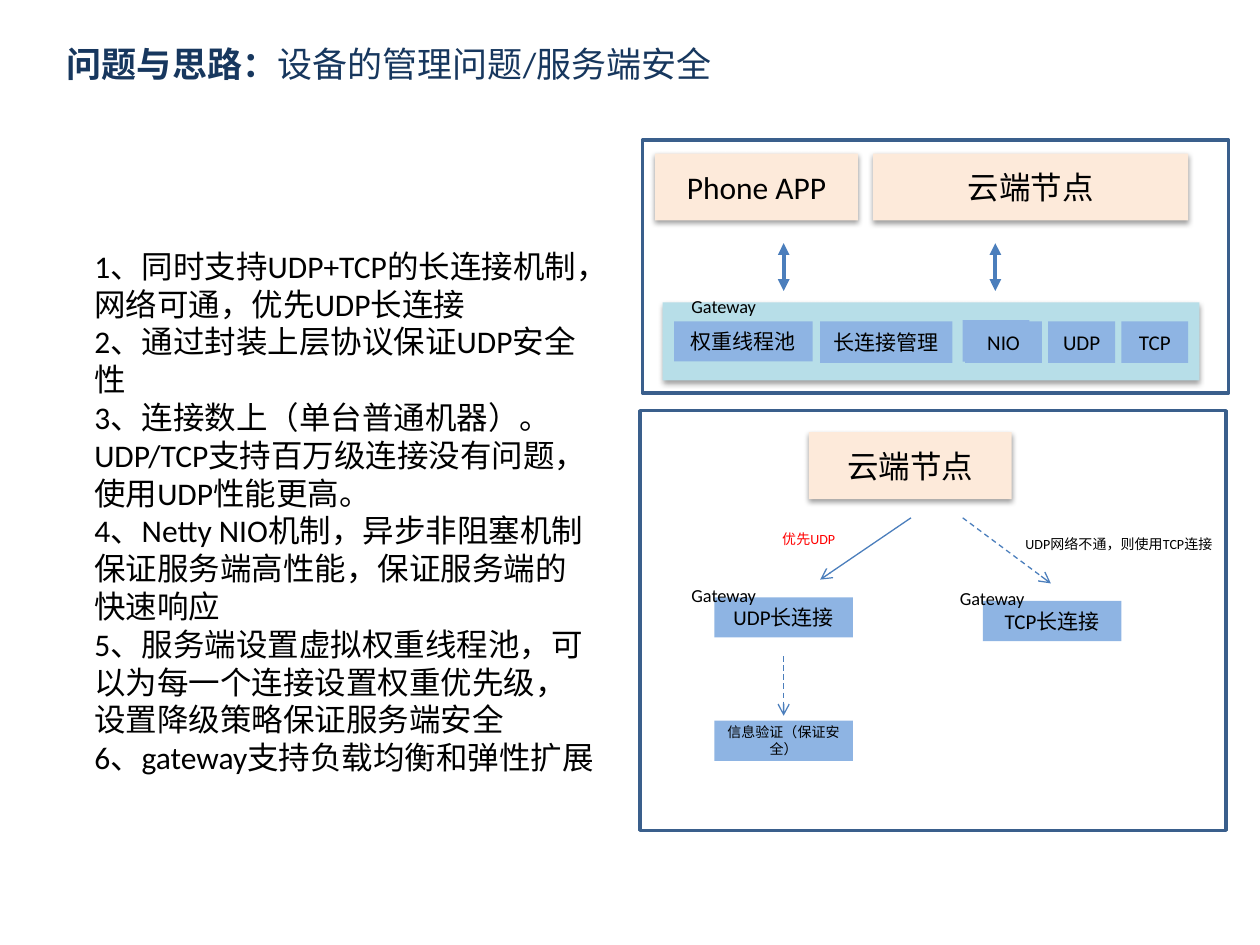
import pptx
import pptx.util
import pptx.dml.color
import pptx.enum.dml
import pptx.enum.text
import pptx.enum.shapes
import pptx.oxml
import pptx.oxml.ns

Pt = pptx.util.Pt
RGB = pptx.dml.color.RGBColor.from_string
ALIGN = pptx.enum.text.PP_ALIGN
ANCHOR = pptx.enum.text.MSO_ANCHOR
RECT = pptx.enum.shapes.MSO_SHAPE.RECTANGLE
STRAIGHT = pptx.enum.shapes.MSO_CONNECTOR.STRAIGHT
DASH = pptx.enum.dml.MSO_LINE.DASH
NS = pptx.oxml.ns.nsdecls("a")

COLORS = {
    "title": "17375E", "text": "000000", "alert": "FF0000", "frame": "3A5F8C",
    "card": "FDEADA", "panel": "B7DEE8", "chip": "8EB4E3", "arrow": "4B7EBC",
}
SHADOW = (
    f'<a:effectLst {NS}><a:outerShdw blurRad="39370" dist="20320" dir="5400000" rotWithShape="0">'
    '<a:srgbClr val="000000"><a:alpha val="38000"/></a:srgbClr></a:outerShdw></a:effectLst>'
)


def write(shape, paragraphs, size, color="text", align=ALIGN.CENTER, anchor=ANCHOR.MIDDLE):
    frame = shape.text_frame
    frame_format = {"word_wrap": True, "vertical_anchor": anchor,
                    "auto_size": pptx.enum.text.MSO_AUTO_SIZE.NONE}
    for name, value in frame_format.items():
        setattr(frame, name, value)
    for index, runs in enumerate(paragraphs):
        paragraph = frame.add_paragraph() if index else frame.paragraphs[0]
        paragraph.alignment = align
        for wording, bold in runs:
            run = paragraph.add_run()
            run.text = wording
            font_format = {"name": "Calibri", "size": Pt(size), "bold": bold}
            for name, value in font_format.items():
                setattr(run.font, name, value)
            run.font.color.rgb = RGB(COLORS[color])


def add_box(place, fill=None):
    box = slide.shapes.add_shape(RECT, *map(Pt, place))
    box.shadow.inherit = False
    if fill:
        box.fill.solid()
        box.fill.fore_color.rgb = RGB(COLORS[fill])
        box.line.fill.background()
    else:
        box.fill.background()
        box.line.color.rgb = RGB(COLORS["frame"])
        box.line.width = Pt(2)
    if fill in ("card", "panel"):
        properties = box._element.spPr
        properties.remove(properties.find(pptx.oxml.ns.qn("a:effectLst")))
        properties.append(pptx.oxml.parse_xml(SHADOW))
    return box


deck = pptx.Presentation()
deck.slide_width, deck.slide_height = Pt(720), Pt(540)
slide = deck.slides.add_slide(deck.slide_layouts[5])

title = slide.shapes.title
title_place = {"left": 31, "top": 20.9, "width": 516.2, "height": 36.7}
for side, length in title_place.items():
    setattr(title, side, Pt(length))
write(title, [[("问题与思路：", True), ("设备的管理问题/服务端安全", False)]],
      20, "title", ALIGN.LEFT, ANCHOR.TOP)

for frame_place in [(365.8, 234.7, 334.8, 239.8), (367.2, 79.9, 334.8, 144.7)]:
    add_box(frame_place)
add_box((378.7, 172.8, 306.7, 44.6), "panel")

cards = [
    ("Phone APP", 374.4, 87.8, 115.9),
    ("云端节点", 499, 87.8, 180),
    ("云端节点", 462.2, 247, 115.9),
]
for wording, left, top, width in cards:
    write(add_box((left, top, width, 38.2), "card"), [[(wording, False)]], 18)

chips = [
    ("权重线程池", 385.2, 183.6, 79.2, 23, 12),
    ("长连接管理", 468.7, 183.6, 75.6, 23.8, 12),
    ("NIO", 550.1, 182.9, 38.2, 23.8, 12),
    ("UDP", 599, 183.6, 38.2, 23.8, 12),
    ("NIO", 551.5, 183.6, 43.9, 23.8, 12),
    ("TCP", 640.8, 183.6, 38.2, 23.8, 12),
    ("UDP长连接", 408.2, 341.3, 79.2, 23, 12),
    ("TCP长连接", 561.6, 343.4, 79.2, 23, 12),
    ("信息验证（保证安全）", 408.2, 411.8, 79.2, 23, 8),
]
for wording, *place, size in chips:
    write(add_box(place, "chip"), [[(wording, False)]], size)

for left, top in [(371.5, 166.3), (371.5, 331.2), (524.9, 333.4)]:
    gateway = slide.shapes.add_textbox(Pt(left), Pt(top), Pt(84.2), Pt(17.3))
    write(gateway, [[("Gateway", False)]], 10.5)

arrows = [
    ((447.8, 139, 447.8, 166.3), 2.25, None, {"headEnd": "triangle", "tailEnd": "triangle"}),
    ((568.8, 139, 568.8, 166.3), 2.25, None, {"headEnd": "triangle", "tailEnd": "triangle"}),
    ((520.6, 295.9, 468.7, 331.2), 0.75, None, {"tailEnd": "arrow"}),
    ((550.1, 295.9, 600.5, 333.4), 0.75, DASH, {"tailEnd": "arrow"}),
    ((447.8, 375.1, 447.8, 409), 0.75, DASH, {"tailEnd": "arrow"}),
]
for ends, width, dash, tips in arrows:
    arrow = slide.shapes.add_connector(STRAIGHT, *map(Pt, ends))
    arrow.line.color.rgb = RGB(COLORS["arrow"])
    for name, value in {"width": Pt(width), "dash_style": dash}.items():
        setattr(arrow.line, name, value)
    outline = arrow.line._get_or_add_ln()
    for end, tip in tips.items():
        outline.append(pptx.oxml.parse_xml(f'<a:{end} {NS} type="{tip}"/>'))
    arrow._element.spPr.append(pptx.oxml.parse_xml(f"<a:effectLst {NS}/>"))

points = [
    "1、同时支持UDP+TCP的长连接机制，网络可通，优先UDP长连接",
    "2、通过封装上层协议保证UDP安全性",
    "3、连接数上（单台普通机器）。UDP/TCP支持百万级连接没有问题，使用UDP性能更高。",
    "4、Netty NIO机制，异步非阻塞机制保证服务端高性能，保证服务端的快速响应",
    "5、服务端设置虚拟权重线程池，可以为每一个连接设置权重优先级，设置降级策略保证服务端安全",
    "6、gateway支持负载均衡和弹性扩展",
]
notes = [
    (points, (46.8, 137.5, 300.2, 312.5), 18, "text"),
    (["UDP网络不通，则使用TCP连接"], (578.9, 302.4, 121.7, 17.3), 8, "text"),
    (["优先UDP"], (439.9, 299.5, 44.6, 17.3), 8, "alert"),
]
for lines, place, size, color in notes:
    note = slide.shapes.add_textbox(*map(Pt, place))
    write(note, [[(line, False)] for line in lines], size, color, ALIGN.LEFT, ANCHOR.TOP)

deck.save("out.pptx")
